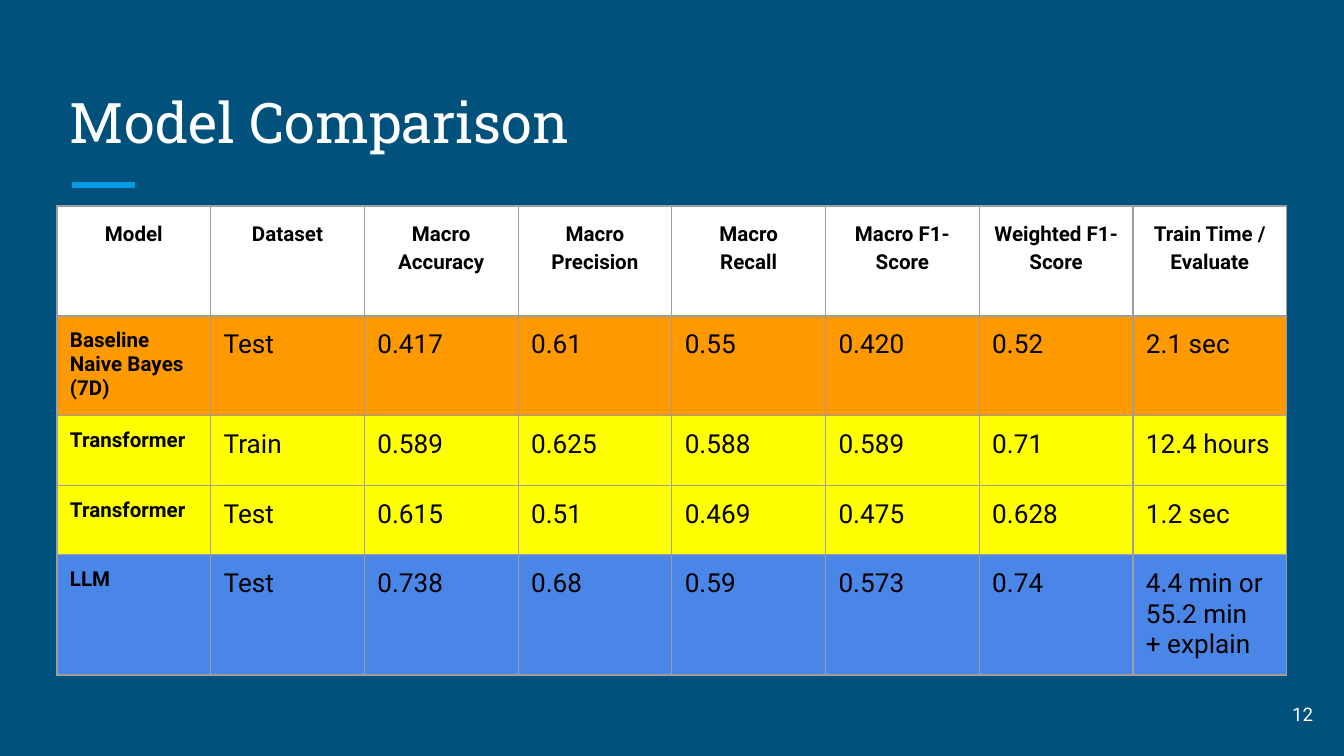
from dataclasses import dataclass

from lxml import etree
from pptx import Presentation, util as u
from pptx.dml.color import RGBColor
from pptx.enum import shapes, text
from pptx.oxml import ns


@dataclass(frozen=True)
class Theme:
    """Colours, fonts and type sizes of the slide."""
    back: str = "00517C"
    accent: str = "039BE5"
    white: str = "FFFFFF"
    black: str = "000000"
    border: str = "9E9E9E"
    baseline: str = "FF9900"
    transformer: str = "FFFF00"
    llm: str = "4A86E8"
    heading: str = "Roboto Slab"
    body: str = "Roboto"
    title_pt: int = 30
    value_pt: int = 14
    label_pt: int = 11
    number_pt: int = 10


THEME = Theme()
SCALE = 914400 / 134.4
INSET = 13
HEADERS = ["Model", "Dataset", "Macro\nAccuracy", "Macro\nPrecision", "Macro\nRecall",
           "Macro F1-Score", "Weighted F1-Score", "Train Time /\nEvaluate"]
RESULTS = [
    (THEME.baseline, 98, ["Baseline Naive Bayes (7D)", "Test", "0.417", "0.61", "0.55",
                          "0.420", "0.52", "2.1 sec"]),
    (THEME.transformer, 70, ["Transformer", "Train", "0.589", "0.625", "0.588",
                             "0.589", "0.71", "12.4 hours"]),
    (THEME.transformer, 69, ["Transformer", "Test", "0.615", "0.51", "0.469",
                             "0.475", "0.628", "1.2 sec"]),
    (THEME.llm, 120, ["LLM", "Test", "0.738", "0.68", "0.59",
                      "0.573", "0.74", "4.4 min or\n55.2 min\n+ explain"]),
]


def px(n):
    """Turn pixels into EMU."""
    return u.Emu(round(n * SCALE))


def rgb(value):
    """Turn a hex string into a colour."""
    return RGBColor.from_string(value)


def write(tf, content, *, size, color, font=THEME.body, bold=False,
          align=text.PP_ALIGN.LEFT, spacing=None):
    """Write each line of content as a formatted paragraph."""
    for i, line in enumerate(content.split("\n")):
        p = tf.paragraphs[0] if i == 0 else tf.add_paragraph()
        p.alignment = align
        p.line_spacing = spacing
        r = p.add_run()
        r.text = line
        r.font.name, r.font.size, r.font.bold = font, u.Pt(size), bold
        r.font.color.rgb = rgb(color)


def outline(cell, color):
    """Draw a thin border on all four sides of a cell."""
    tc_pr = cell._tc.get_or_add_tcPr()
    for i, side in enumerate(("a:lnL", "a:lnR", "a:lnT", "a:lnB")):
        ln = etree.Element(ns.qn(side), w=str(u.Pt(0.75)))
        fill = etree.SubElement(ln, ns.qn("a:solidFill"))
        etree.SubElement(fill, ns.qn("a:srgbClr"), val=color)
        tc_pr.insert(i, ln)


class Deck:
    """Hold the style and the current slide."""

    def __init__(self, theme):
        """Open a presentation with one blank slide."""
        self.theme = theme
        self.prs = Presentation()
        self.prs.slide_width, self.prs.slide_height = px(1344), px(756)
        self.s = self.prs.slides.add_slide(self.prs.slide_layouts[6])
        self.s.background.fill.solid()
        self.s.background.fill.fore_color.rgb = rgb(theme.back)

    def label(self, content, x, y, w, h, anchor, **style):
        """Add a text box."""
        tf = self.s.shapes.add_textbox(px(x), px(y), px(w), px(h)).text_frame
        tf.word_wrap = True
        tf.vertical_anchor = anchor
        tf.margin_left = tf.margin_right = tf.margin_top = tf.margin_bottom = px(INSET)
        write(tf, content, color=self.theme.white, **style)

    def rule(self, x1, x2, y):
        """Add a horizontal accent line."""
        sp = self.s.shapes.add_connector(shapes.MSO_CONNECTOR.STRAIGHT,
                                         px(x1), px(y), px(x2), px(y))
        sp.line.color.rgb = rgb(self.theme.accent)
        sp.line.width = u.Pt(3)
        etree.SubElement(sp._element.spPr, ns.qn("a:effectLst"))

    def cell(self, cell, content, fill, **style):
        """Fill, outline and write one table cell."""
        cell.fill.solid()
        cell.fill.fore_color.rgb = rgb(fill)
        outline(cell, self.theme.border)
        cell.margin_left = cell.margin_right = px(INSET)
        cell.margin_top = cell.margin_bottom = px(INSET)
        write(cell.text_frame, content, color=self.theme.black, **style)

    def table(self, x, y, w, headers, header_height, results):
        """Add a table with a centred header and coloured result rows."""
        t = self.theme
        height = header_height + sum(h for _, h, _ in results)
        table = self.s.shapes.add_table(len(results) + 1, len(headers),
                                        px(x), px(y), px(w), px(height)).table
        table.first_row = table.horz_banding = False
        table.rows[0].height = px(header_height)
        for col, header in enumerate(headers):
            self.cell(table.cell(0, col), header, t.white, size=t.label_pt, bold=True,
                      align=text.PP_ALIGN.CENTER, spacing=1.15)
        for row, (fill, h, values) in enumerate(results, 1):
            table.rows[row].height = px(h)
            for col, value in enumerate(values):
                self.cell(table.cell(row, col), value, fill, bold=col == 0,
                          size=t.value_pt if col else t.label_pt)


def main():
    """Build and save the slide."""
    deck = Deck(THEME)
    deck.rule(72, 135, 185)
    deck.label("Model Comparison", 57, 67, 1230, 101, text.MSO_ANCHOR.BOTTOM,
               size=THEME.title_pt, font=THEME.heading)
    deck.label("12", 1245, 685, 81, 58, text.MSO_ANCHOR.MIDDLE,
               size=THEME.number_pt, align=text.PP_ALIGN.RIGHT)
    deck.table(57, 206, 1230, HEADERS, 110, RESULTS)
    deck.prs.save("out.pptx")


if __name__ == "__main__":
    main()
